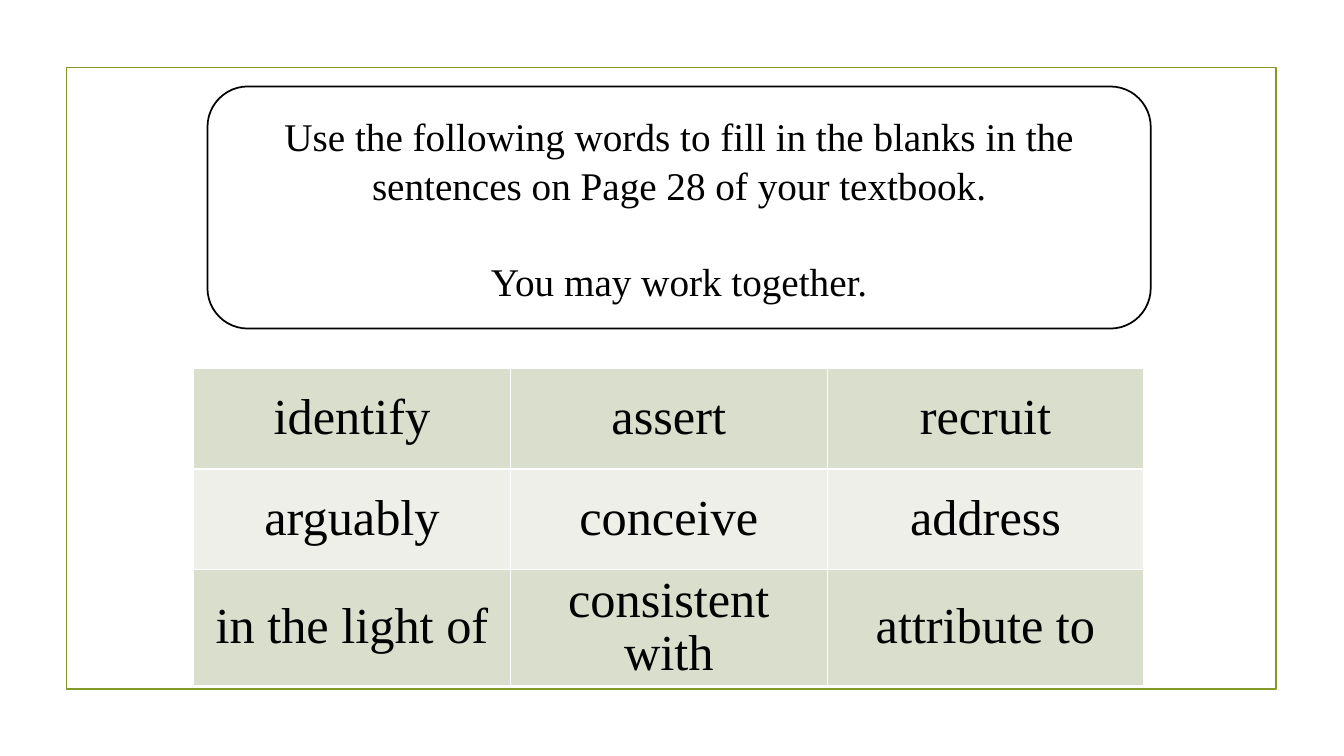
from dataclasses import dataclass

from lxml.etree import SubElement
from pptx import Presentation
from pptx.dml.color import RGBColor as Color
from pptx.enum.shapes import MSO_SHAPE as Preset
from pptx.enum.text import MSO_ANCHOR as Anchor, PP_ALIGN as Align
from pptx.oxml.ns import qn
from pptx.util import Cm, Pt


@dataclass(frozen=True)
class Theme:
    font: str = "Times New Roman"
    ink: str = "000000"
    paper: str = "FFFFFF"
    frame: str = "83992A"
    bands: tuple = ("D9DECD", "EDEFE8")
    outline: float = 1.25
    grid: float = 1
    instruction_size: int = 28
    word_size: int = 36


THEME = Theme()

INSTRUCTIONS = (
    "Use the following words to fill in the blanks in the "
    "sentences on Page 28 of your textbook.",
    "You may work together.",
)
WORDS = (
    ("identify", "assert", "recruit"),
    ("arguably", "conceive", "address"),
    ("in the light of", "consistent with", "attribute to"),
)


def write(text_frame, *lines, size, color=THEME.ink, gap=0, spacing=1.0):
    for index, line in enumerate(lines):
        para = text_frame.paragraphs[0] if index == 0 else text_frame.add_paragraph()
        para.alignment = Align.CENTER
        para.line_spacing = spacing
        para.space_before = Pt(gap if index else 0)
        span = para.add_run()
        span.text = line
        span.font.name = THEME.font
        span.font.size = Pt(size)
        span.font.color.rgb = Color.from_string(color)


def add_panel(page, box, preset, line, fill=None):
    panel = page.shapes.add_shape(preset, *(Cm(length) for length in box))
    panel.shadow.inherit = False
    if fill:
        panel.fill.solid()
        panel.fill.fore_color.rgb = Color.from_string(fill)
    else:
        panel.fill.background()
    panel.line.color.rgb = Color.from_string(line)
    panel.line.width = Pt(THEME.outline)
    return panel


def add_instructions(page, box):
    panel = add_panel(page, box, Preset.ROUNDED_RECTANGLE, THEME.ink, THEME.paper)
    panel.text_frame.word_wrap = True
    panel.text_frame.vertical_anchor = Anchor.MIDDLE
    write(panel.text_frame, *INSTRUCTIONS, size=THEME.instruction_size,
          gap=34, spacing=1.04)


def style_cell(cell, fill):
    properties = cell._tc.get_or_add_tcPr()
    for side in ("a:lnL", "a:lnR", "a:lnT", "a:lnB"):
        border = SubElement(properties, qn(side), w=str(Pt(THEME.grid)))
        paint = SubElement(border, qn("a:solidFill"))
        SubElement(paint, qn("a:srgbClr"), val=THEME.paper)
    cell.fill.solid()
    cell.fill.fore_color.rgb = Color.from_string(fill)
    cell.vertical_anchor = Anchor.MIDDLE


def add_word_bank(page, box):
    left, top, width, height = (Cm(length) for length in box)
    table = page.shapes.add_table(
        len(WORDS), len(WORDS[0]), left, top, width, height).table
    for row, words in enumerate(WORDS):
        for column, word in enumerate(words):
            cell = table.cell(row, column)
            style_cell(cell, THEME.bands[row % len(THEME.bands)])
            write(cell.text_frame, word, size=THEME.word_size, spacing=0.95)


def build_vocabulary_page(deck):
    page = deck.slides.add_slide(deck.slide_layouts[6])
    add_panel(page, (1.68, 1.7, 30.48, 15.67), Preset.RECTANGLE, THEME.frame)
    add_word_bank(page, (4.88, 9.28, 23.95, 7.62))
    add_instructions(page, (5.23, 2.18, 23.77, 6.1))


def main():
    deck = Presentation()
    deck.slide_width, deck.slide_height = Cm(33.87), Cm(19.05)
    build_vocabulary_page(deck)
    deck.save("out.pptx")


if __name__ == "__main__":
    main()
